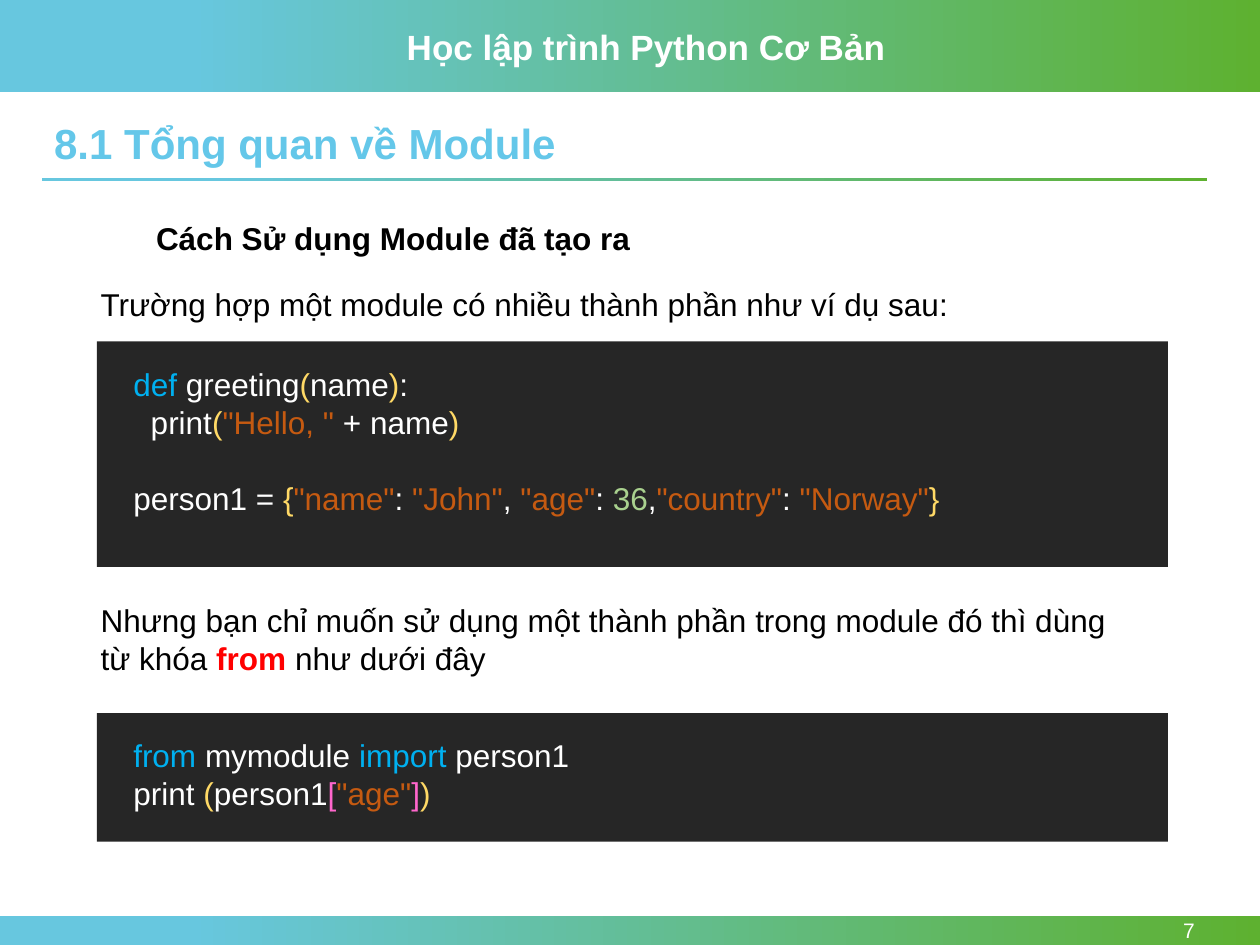
import pptx
import pptx.util
import pptx.dml.color
import pptx.enum.shapes
import pptx.enum.text

COLUMNS, ROWS = 100, 75
ALIGN = pptx.enum.text.PP_ALIGN
ANCHOR = pptx.enum.text.MSO_ANCHOR

WHITE, BLACK, RED = "FFFFFF", "000000", "FF0000"
PANEL, HEADING = "262626", "64C7E9"
GRADIENT = ((0.15, "67C7DF"), (1, "5EB130"))
# Syntax colours
PLAIN, KEYWORD, BRACKET = WHITE, "00B0F0", "FFD966"
STRING, NUMBER, INDEX = "C55A11", "A9D18E", "FF66CC"


def rgb(value):
    return pptx.dml.color.RGBColor.from_string(value)


def add_text(paragraph, text, size=18, color=BLACK, bold=False):
    run = paragraph.add_run()
    run.text = text
    run.font.name = "Arial"
    run.font.size = pptx.util.Pt(size)
    run.font.bold = bold
    run.font.color.rgb = rgb(color)


class Lesson:
    """Lesson style and current slide; lengths are grid columns and rows."""

    def __init__(self, deck):
        self.column = deck.slide_width / COLUMNS
        self.row = deck.slide_height / ROWS
        self.slide = deck.slides.add_slide(deck.slide_layouts[5])

    def place(self, left, top, width, height):
        return (round(left * self.column), round(top * self.row),
                round(width * self.column), round(height * self.row))

    def block(self, *area):
        shape = self.slide.shapes.add_shape(
            pptx.enum.shapes.MSO_SHAPE.RECTANGLE, *self.place(*area))
        shape.shadow.inherit = False
        shape.line.fill.background()
        return shape

    def band(self, *area):
        fill = self.block(*area).fill
        fill.gradient()
        fill.gradient_angle = 0
        for stop, (position, color) in zip(fill.gradient_stops, GRADIENT):
            stop.position = position
            stop.color.rgb = rgb(color)

    def panel(self, *area):
        fill = self.block(*area).fill
        fill.solid()
        fill.fore_color.rgb = rgb(PANEL)

    def title(self, text, *area):
        heading = self.slide.shapes.title
        heading.left, heading.top, heading.width, heading.height = self.place(*area)
        frame = heading.text_frame
        frame.word_wrap = True
        frame.auto_size = pptx.enum.text.MSO_AUTO_SIZE.NONE
        frame.vertical_anchor = ANCHOR.TOP
        paragraph = frame.paragraphs[0]
        paragraph.alignment = ALIGN.LEFT
        paragraph.line_spacing = 0.9
        add_text(paragraph, text, size=24, color=HEADING, bold=True)

    def frame(self, *area, anchor=ANCHOR.TOP):
        frame = self.slide.shapes.add_textbox(*self.place(*area)).text_frame
        frame.word_wrap = True
        frame.vertical_anchor = anchor
        return frame

    def text(self, pieces, *area, align=ALIGN.LEFT, anchor=ANCHOR.TOP):
        paragraph = self.frame(*area, anchor=anchor).paragraphs[0]
        paragraph.alignment = align
        for words, style in pieces:
            add_text(paragraph, words, **style)

    def code(self, lines, *area, gap_before=None):
        """Coloured code lines; the line at index gap_before starts a new part."""
        frame = self.frame(*area)
        for index, line in enumerate(lines):
            paragraph = frame.add_paragraph() if index else frame.paragraphs[0]
            if index == gap_before:
                paragraph.space_before = pptx.util.Pt(21.5)
            for token, color in line:
                add_text(paragraph, token, color=color)


def main():
    deck = pptx.Presentation()
    deck.slide_width = pptx.util.Inches(10)
    deck.slide_height = pptx.util.Inches(7.5)
    lesson = Lesson(deck)

    # Course header, footer and heading rule
    lesson.band(0, 0, COLUMNS, 7.3)
    lesson.band(0, 72.7, COLUMNS, 2.3)
    lesson.band(3.3, 14.1, 92.5, 0.25)
    lesson.text([("Học lập trình Python Cơ Bản", dict(size=20, color=WHITE, bold=True))],
                31.3, 1.5, 40, 4.4)
    lesson.text([("7", dict(size=12, color=WHITE))], 86.6, 72.7, 9.2, 2.3,
                align=ALIGN.RIGHT, anchor=ANCHOR.MIDDLE)

    # Headings
    lesson.title("8.1 Tổng quan về Module", 3.3, 9.3, 92.5, 4.6)
    lesson.text([("Cách Sử dụng Module đã tạo ra", dict(bold=True))], 11.4, 16.9, 70.3, 4)

    # Module with several parts
    lesson.text([("Trường hợp một module có nhiều thành phần như ví dụ sau:", {})],
                7, 22.1, 84.2, 4)
    module_code = [
        [("def", KEYWORD), (" greeting", PLAIN), ("(", BRACKET), ("name", PLAIN),
         (")", BRACKET), (":", PLAIN)],
        [("  print", PLAIN), ("(", BRACKET), ('"Hello, "', STRING),
         (" + name", PLAIN), (")", BRACKET)],
        [("person1 = ", PLAIN), ("{", BRACKET), ('"name"', STRING), (": ", PLAIN),
         ('"John"', STRING), (", ", PLAIN), ('"age"', STRING), (": ", PLAIN),
         ("36", NUMBER), (",", PLAIN), ('"country"', STRING), (": ", PLAIN),
         ('"Norway"', STRING), ("}", BRACKET)],
    ]
    lesson.panel(7.7, 27.1, 85, 17.9)
    lesson.code(module_code, 9.6, 28.5, 81, 13.1, gap_before=2)

    # Importing a single part
    lesson.text([("Nhưng bạn chỉ muốn sử dụng một thành phần trong module đó thì dùng từ khóa ", {}),
                 ("from ", dict(color=RED, bold=True)),
                 ("như dưới đây", {})], 7, 47.2, 84.2, 7.1)
    import_code = [
        [("from ", KEYWORD), ("mymodule ", PLAIN), ("import ", KEYWORD), ("person1", PLAIN)],
        [("print ", PLAIN), ("(", BRACKET), ("person1", PLAIN), ("[", INDEX),
         ('"age"', STRING), ("]", INDEX), (")", BRACKET)],
    ]
    lesson.panel(7.7, 56.6, 85, 10.2)
    lesson.code(import_code, 9.6, 57.9, 81, 7.1)

    deck.save("out.pptx")


if __name__ == "__main__":
    main()
